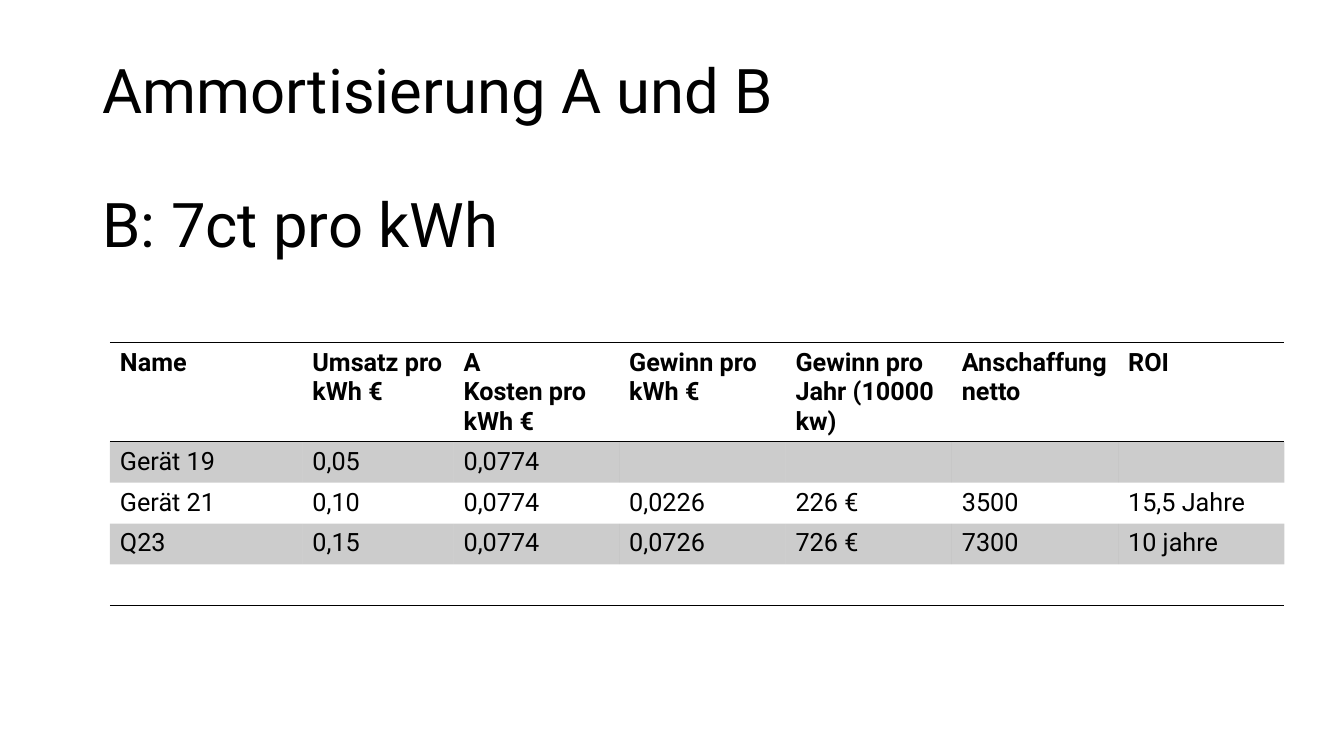
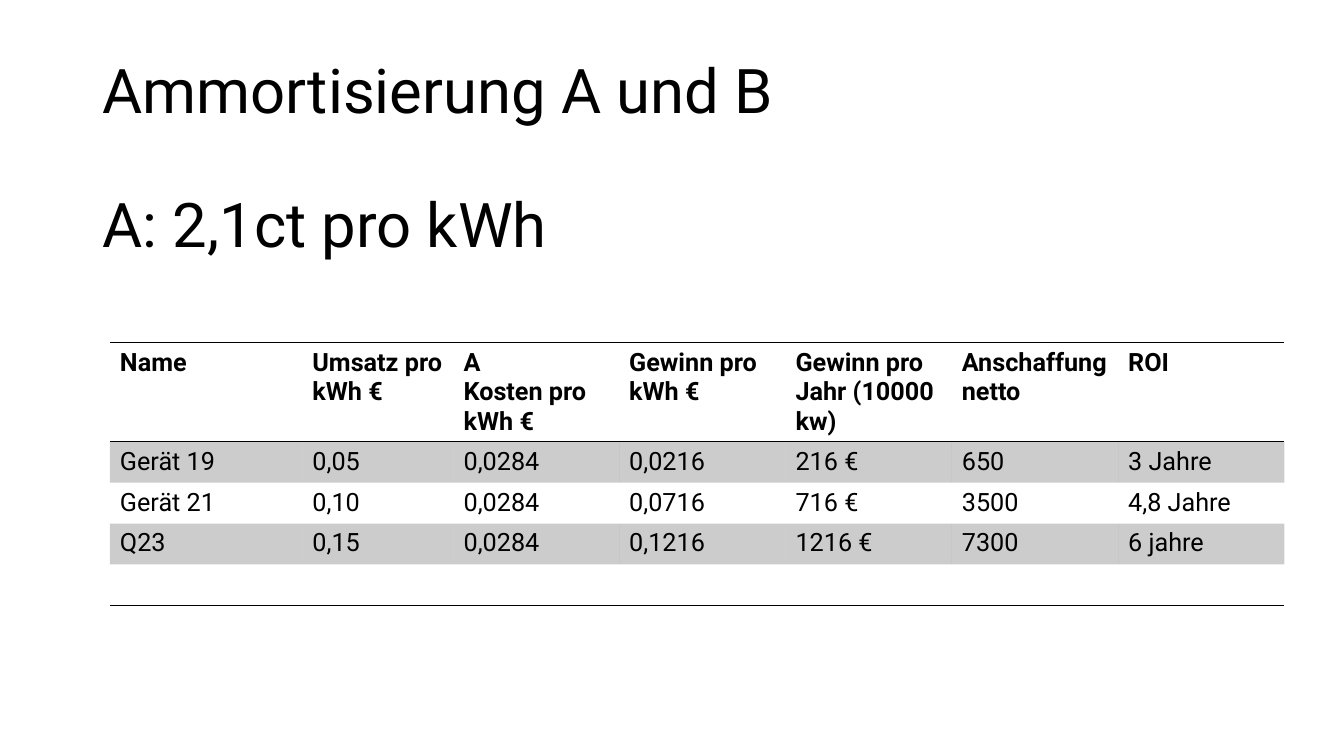
import pptx
import pptx.dml.color
import pptx.enum.text
import pptx.oxml
import pptx.oxml.ns
import pptx.util
import lxml.etree

Pt = pptx.util.Pt
FONT = "Roboto"
BLACK = "000000"
BAND_OPACITY = 20
PLAIN_TABLE_STYLE = "{2D5ABB26-0587-4C30-8999-92F81FD0307C}"

COLUMN_WIDTHS = [137.5, 108, 118.3] + [118.8] * 4
ROW_HEIGHTS = [70.8] + [29.2] * 4
HEADER = ["Name", "Umsatz pro kWh €", "A\nKosten pro kWh €", "Gewinn pro kWh €",
          "Gewinn pro Jahr (10000 kw)", "Anschaffung netto", "ROI"]
EMPTY_ROW = [""] * len(HEADER)

SLIDES = [
    ("B: 7ct pro kWh", [
        ["Gerät 19", "0,05", "0,0774", "", "", "", ""],
        ["Gerät 21", "0,10", "0,0774", "0,0226", "226 €", "3500", "15,5 Jahre"],
        ["Q23", "0,15", "0,0774", "0,0726", "726 €", "7300", "10 jahre"],
    ]),
    ("A: 2,1ct pro kWh", [
        ["Gerät 19", "0,05", "0,0284", "0,0216", "216 €", "650", "3 Jahre"],
        ["Gerät 21", "0,10", "0,0284", "0,0716", "716 €", "3500", "4,8 Jahre"],
        ["Q23", "0,15", "0,0284", "0,1216", "1216 €", "7300", "6 jahre"],
    ]),
]


def color(value):
    return pptx.dml.color.RGBColor.from_string(value)


def add_border(cell, side):
    """Draw a 1 pt black line on a cell side: lnT or lnB."""
    namespace = pptx.oxml.ns.nsdecls("a")
    line = pptx.oxml.parse_xml(
        f'<a:{side} {namespace} w="{Pt(1)}"><a:solidFill>'
        f'<a:srgbClr val="{BLACK}"/></a:solidFill></a:{side}>')
    cell._tc.get_or_add_tcPr().insert(0, line)


presentation = pptx.Presentation()
presentation.slide_width = Pt(960)
presentation.slide_height = Pt(540)

# Shared title position
layout = presentation.slide_layouts[5]
layout_title = layout.placeholders[0]
layout_title.left, layout_title.top = Pt(66), Pt(28.8)
layout_title.width, layout_title.height = Pt(828), Pt(172)

for subtitle, body_rows in SLIDES:
    slide = presentation.slides.add_slide(layout)

    # Title
    title_frame = slide.shapes.title.text_frame
    title_frame.text = "Ammortisierung A und B\n" + subtitle
    title_frame.auto_size = pptx.enum.text.MSO_AUTO_SIZE.NONE
    title_frame.vertical_anchor = pptx.enum.text.MSO_ANCHOR.MIDDLE
    for index, paragraph in enumerate(title_frame.paragraphs):
        paragraph.alignment = pptx.enum.text.PP_ALIGN.LEFT
        paragraph.line_spacing = 0.9
        paragraph.space_before = Pt(48 * index)
        paragraph.font.name = FONT
        paragraph.font.size = Pt(44)
        paragraph.font.color.rgb = color(BLACK)

    # Table
    rows = [HEADER] + body_rows + [EMPTY_ROW]
    table = slide.shapes.add_table(
        len(rows), len(HEADER), Pt(78.5), Pt(244.8),
        Pt(sum(COLUMN_WIDTHS)), Pt(sum(ROW_HEIGHTS))).table
    table.horz_banding = False
    table._tbl.tblPr[0].text = PLAIN_TABLE_STYLE
    for column, width in zip(table.columns, COLUMN_WIDTHS):
        column.width = Pt(width)

    for row_index, texts in enumerate(rows):
        table.rows[row_index].height = Pt(ROW_HEIGHTS[row_index])
        for column_index, text in enumerate(texts):
            cell = table.cell(row_index, column_index)
            cell.text = text
            for paragraph in cell.text_frame.paragraphs:
                paragraph.font.name = FONT
                paragraph.font.size = Pt(18)
                paragraph.font.bold = row_index == 0
                paragraph.font.color.rgb = color(BLACK)

            # Translucent band on every second row
            if row_index % 2:
                cell.fill.solid()
                cell.fill.fore_color.rgb = color(BLACK)
                fill_color = cell._tc.tcPr.find(".//" + pptx.oxml.ns.qn("a:srgbClr"))
                lxml.etree.SubElement(fill_color, pptx.oxml.ns.qn("a:alpha"),
                                      val=str(BAND_OPACITY * 1000))
            else:
                cell.fill.background()

            # Rules around the header and below the table
            if row_index in (0, len(rows) - 1):
                add_border(cell, "lnB")
            if row_index == 0:
                add_border(cell, "lnT")

presentation.save("out.pptx")
